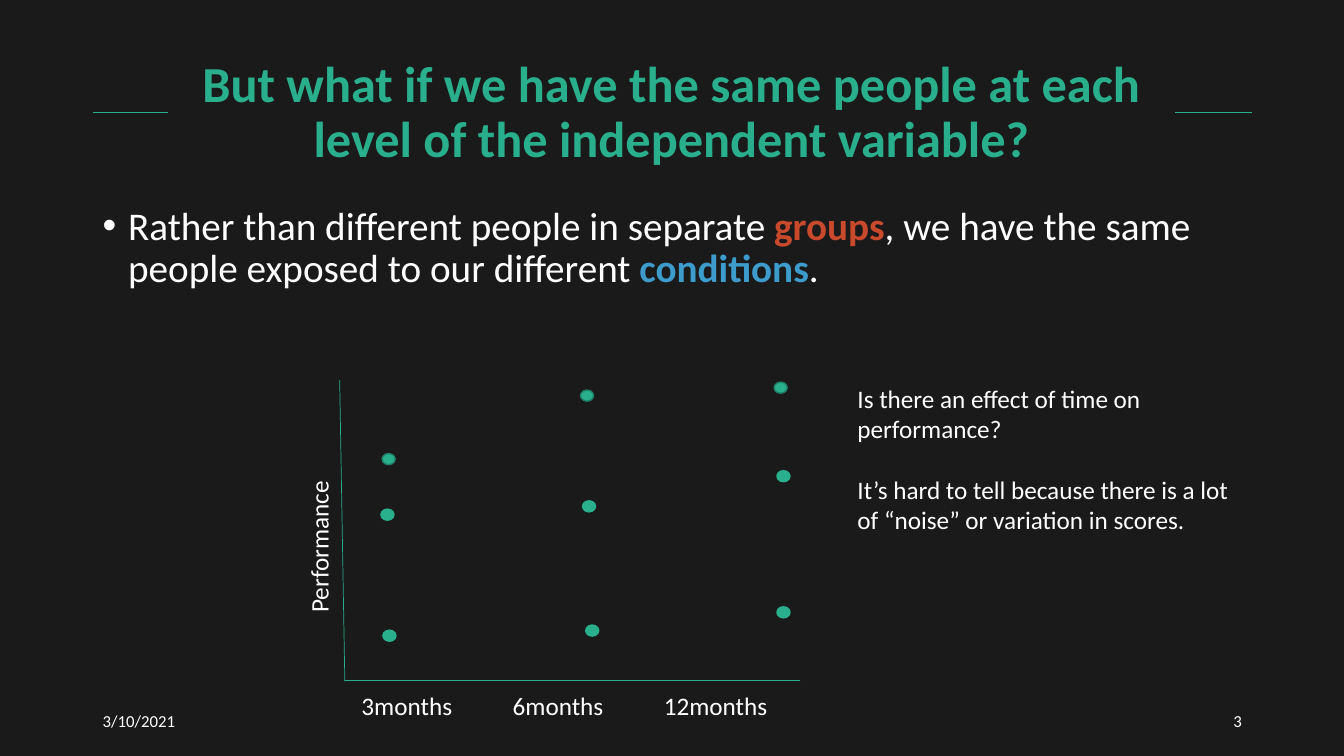
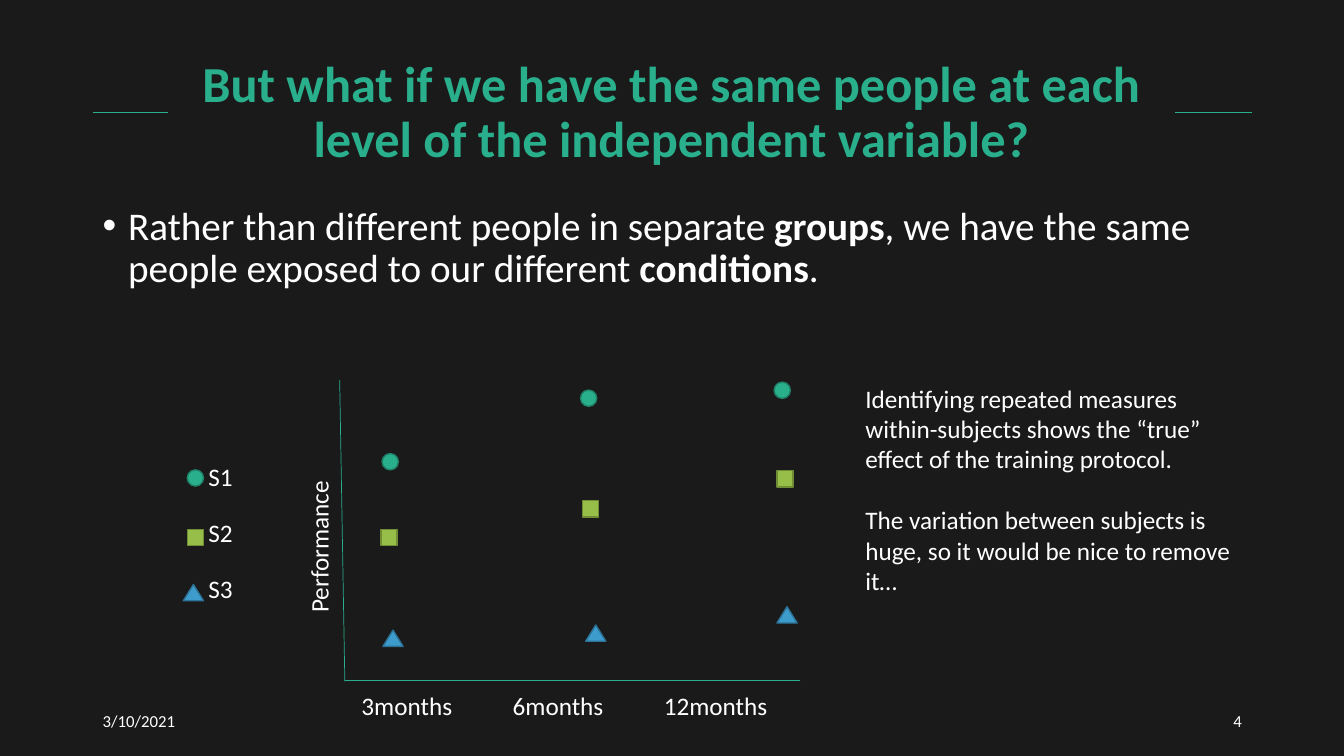
import pptx
import pptx.util
import pptx.dml.color
import pptx.enum.shapes
import pptx.enum.text
import pptx.oxml.ns
import lxml.etree

Cm = pptx.util.Cm
Pt = pptx.util.Pt
RGBColor = pptx.dml.color.RGBColor
MSO_SHAPE = pptx.enum.shapes.MSO_SHAPE
PP_ALIGN = pptx.enum.text.PP_ALIGN
MSO_ANCHOR = pptx.enum.text.MSO_ANCHOR
qn = pptx.oxml.ns.qn

BACKGROUND = RGBColor(0x1A, 0x1A, 0x1A)
WHITE = RGBColor(0xFF, 0xFF, 0xFF)
GREEN = RGBColor(0x29, 0xAF, 0x8C)
DARK_GREEN = RGBColor(0x1E, 0x81, 0x68)
LIME = RGBColor(0x97, 0xBE, 0x49)
DARK_LIME = RGBColor(0x70, 0x8D, 0x36)
BLUE = RGBColor(0x3D, 0x9C, 0xCC)
DARK_BLUE = RGBColor(0x2D, 0x73, 0x97)
RED = RGBColor(0xC9, 0x49, 0x2C)

FONT = "Calibri"
TITLE = "But what if we have the same people at each level of the independent variable?"
TITLE_FONT = {"name": FONT, "size": Pt(36), "bold": True}
TITLE_BOX = {"left": Cm(4.24), "top": Cm(1.02), "width": Cm(25.37), "height": Cm(3.68)}
FOOTER_FORMAT = {"vertical_anchor": MSO_ANCHOR.MIDDLE}
MONTH_STEP = 3.81


def add_text(slide, box, paragraphs, size=18, frame_format=None, paragraph_format=None):
    shape = slide.shapes.add_textbox(*[Cm(length) for length in box])
    frame = shape.text_frame
    frame.word_wrap = True
    for name, value in (frame_format or {}).items():
        setattr(frame, name, value)
    for index, runs in enumerate(paragraphs):
        paragraph = frame.add_paragraph() if index else frame.paragraphs[0]
        if index:
            paragraph.space_before = Pt(22)
        for name, value in (paragraph_format or {}).items():
            setattr(paragraph, name, value)
        for text, color, bold in runs:
            run = paragraph.add_run()
            run.text = text
            run.font.color.rgb = color
            for name, value in {"name": FONT, "size": Pt(size), "bold": bold}.items():
                setattr(run.font, name, value)
    return shape


def add_line(slide, *ends):
    line = slide.shapes.add_connector(
        pptx.enum.shapes.MSO_CONNECTOR.STRAIGHT, *[Cm(length) for length in ends])
    line.line.color.rgb = GREEN
    line.line.width = Pt(0.5)
    lxml.etree.SubElement(line.element.spPr, qn("a:effectLst"))
    return line


circle_points = [(9.63, 11.43), (14.63, 9.83), (19.51, 9.63)]
square_points = [(14.68, 12.62), (19.58, 11.86)]
triangle_points = [(9.65, 15.88), (14.76, 15.75), (19.58, 15.29)]
dot_size = (0.33, 0.28)

slides = [
    {
        "number": "3",
        "groups": RED,
        "conditions": BLUE,
        "note_box": (21.36, 9.53, 10.16, 4.11),
        "note": ["Is there an effect of time on performance?",
                 "It’s hard to tell because there is a lot of “noise” or variation in scores."],
        "markers": [
            (MSO_SHAPE.OVAL, dot_size, GREEN, DARK_GREEN, circle_points),
            (MSO_SHAPE.OVAL, dot_size, GREEN, GREEN,
             [(9.6, 12.83)] + square_points + triangle_points),
        ],
        "subjects": [],
    },
    {
        "number": "4",
        "groups": WHITE,
        "conditions": WHITE,
        "note_box": (21.56, 9.53, 9.83, 5.64),
        "note": ["Identifying repeated measures within-subjects shows the “true” effect "
                 "of the training protocol.",
                 "The variation between subjects is huge, so it would be nice to remove it…"],
        "markers": [
            (MSO_SHAPE.OVAL, (0.41, 0.41), GREEN, DARK_GREEN,
             circle_points + [(4.72, 11.84)]),
            (MSO_SHAPE.RECTANGLE, (0.41, 0.41), LIME, DARK_LIME,
             [(9.6, 13.34)] + square_points + [(4.72, 13.34)]),
            (MSO_SHAPE.ISOSCELES_TRIANGLE, (0.51, 0.41), BLUE, DARK_BLUE,
             triangle_points + [(4.62, 14.73)]),
        ],
        "subjects": ["S1", "S2", "S3"],
    },
]

presentation = pptx.Presentation()
presentation.slide_width = Cm(33.87)
presentation.slide_height = Cm(19.05)
background = presentation.slide_master.background.fill
background.solid()
background.fore_color.rgb = BACKGROUND
layout = presentation.slide_layouts[5]

for content in slides:
    slide = presentation.slides.add_slide(layout)
    if content is slides[0]:
        title_rule = add_line(slide, 2.34, 2.82, 31.55, 2.82)
        layout.shapes.element.append(title_rule.element)

    title = slide.shapes.title
    for name, value in TITLE_BOX.items():
        setattr(title, name, value)
    title.fill.solid()
    title.fill.fore_color.rgb = BACKGROUND
    title.text_frame.text = TITLE
    title.text_frame.word_wrap = True
    title.text_frame.auto_size = pptx.enum.text.MSO_AUTO_SIZE.NONE
    title.text_frame.vertical_anchor = MSO_ANCHOR.MIDDLE
    paragraph = title.text_frame.paragraphs[0]
    paragraph.alignment = PP_ALIGN.CENTER
    paragraph.line_spacing = 0.9
    title_font = paragraph.runs[0].font
    title_font.color.rgb = GREEN
    for name, value in TITLE_FONT.items():
        setattr(title_font, name, value)

    statement = add_text(slide, (2.34, 5.08, 29.21, 12.09), [[
        ("Rather than different people in separate ", WHITE, False),
        ("groups", content["groups"], True),
        (", we have the same people exposed to our different ", WHITE, False),
        ("conditions", content["conditions"], True),
        (".", WHITE, False),
    ]], 28, None, {"line_spacing": 0.9, "space_before": Pt(10)})
    properties = statement.text_frame.paragraphs[0]._p.get_or_add_pPr()
    properties.set("marL", str(Cm(0.64)))
    properties.set("indent", str(Cm(-0.64)))
    lxml.etree.SubElement(properties, qn("a:buFont"), typeface="Arial")
    lxml.etree.SubElement(properties, qn("a:buChar"), char="•")

    add_line(slide, 8.56, 9.58, 8.69, 17.17)
    add_line(slide, 20.17, 17.15, 8.69, 17.15)

    for kind, (width, height), fill_color, line_color, points in content["markers"]:
        for left, top in points:
            marker = slide.shapes.add_shape(kind, Cm(left), Cm(top), Cm(width), Cm(height))
            marker.shadow.inherit = False
            marker.fill.solid()
            marker.fill.fore_color.rgb = fill_color
            marker.line.color.rgb = line_color
            marker.line.width = Pt(1)

    months = add_text(slide, (8.86, 17.27, 15.98, 1.02),
                      [[("3months\t6months\t12months", WHITE, False)]])
    properties = months.text_frame.paragraphs[0]._p.get_or_add_pPr()
    tabs = lxml.etree.SubElement(properties, qn("a:tabLst"))
    for step in (1, 2):
        lxml.etree.SubElement(tabs, qn("a:tab"), pos=str(Cm(MONTH_STEP * step)), algn="l")

    performance = add_text(slide, (5.56, 12.7, 4.95, 1.02), [[("Performance", WHITE, False)]])
    performance.rotation = 270

    add_text(slide, content["note_box"], [[(text, WHITE, False)] for text in content["note"]])

    for index, subject in enumerate(content["subjects"]):
        add_text(slide, (5, 11.51 + 1.41 * index, 1.14, 1.02),
                 [[(subject, WHITE, False)]], 18, {"word_wrap": False})

    for left, text, alignment in ((2.34, "3/10/2021", PP_ALIGN.LEFT),
                                  (23.93, content["number"], PP_ALIGN.RIGHT)):
        add_text(slide, (left, 17.65, 7.62, 1.02), [[(text, WHITE, False)]], 12,
                 FOOTER_FORMAT, {"alignment": alignment})

presentation.save("out.pptx")
